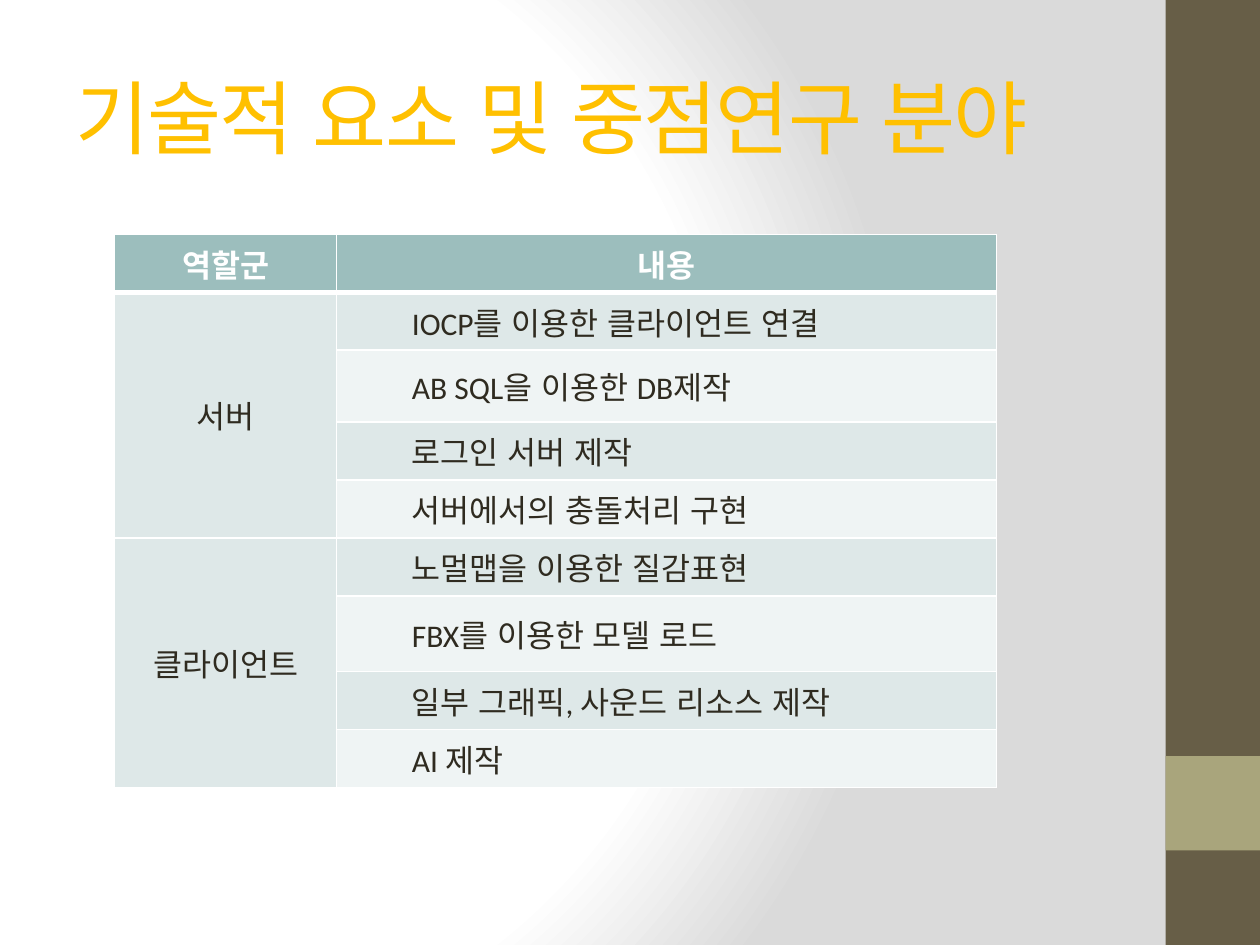
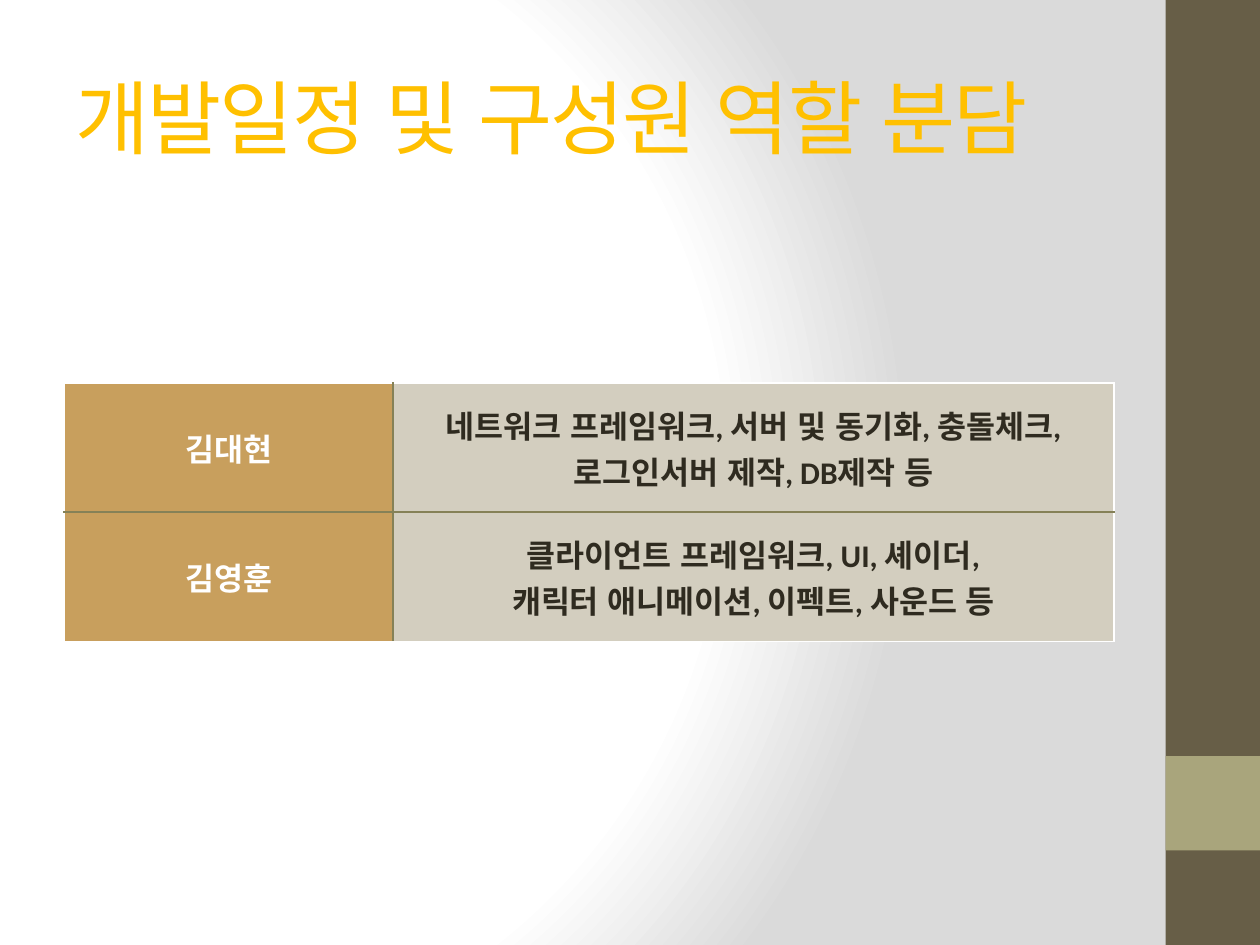
from dataclasses import dataclass

from pptx import Presentation
from pptx.dml.color import RGBColor
from pptx.enum.lang import MSO_LANGUAGE_ID
from pptx.enum.shapes import MSO_SHAPE
from pptx.enum.text import MSO_ANCHOR, PP_ALIGN
from pptx.oxml import parse_xml
from pptx.oxml.ns import nsdecls, qn
from pptx.util import Inches, Pt

TECH_TITLE = "기술적 요소 및 중점연구 분야"
TECH_HEADER = ("역할군", "내용")
TECH_AREAS = {
    "서버": ["IOCP를 이용한 클라이언트 연결", "AB SQL을 이용한 DB제작",
           "로그인 서버 제작", "서버에서의 충돌처리 구현"],
    "클라이언트": ["노멀맵을 이용한 질감표현", "FBX를 이용한 모델 로드",
              "일부 그래픽, 사운드 리소스 제작", "AI 제작"],
}
TEAM_TITLE = "개발일정 및 구성원 역할 분담"
TEAM_ROLES = [
    ("김대현", "네트워크 프레임워크, 서버 및 동기화, 충돌체크, 로그인서버 제작, DB제작 등"),
    ("김영훈", "클라이언트 프레임워크, UI, 셰이더,\n캐릭터 애니메이션, 이펙트, 사운드 등"),
]


@dataclass(frozen=True)
class Theme:
    white: str = "FFFFFF"
    backdrop: str = "DADADA"
    band: str = "675E47"
    accent: str = "A9A57C"
    title: str = "FFC000"
    ink: str = "2F2B20"
    header: str = "9CBEBD"
    odd_row: str = "DEE8E8"
    even_row: str = "EFF4F4"
    member: str = "C89F5D"
    duty: str = "D3CEBF"
    rule: str = "858157"
    title_font: str = "Cambria"
    body_font: str = "Calibri"
    title_size: int = 46
    body_size: int = 18


THEME = Theme()
THIN = (THEME.white, 1)
HEAVY = (THEME.white, 3)
DIVIDER = (THEME.rule, 1.5)


def style(paragraph, font_name, size, color, bold=False):
    font = paragraph.font
    font.name, font.size, font.bold = font_name, Pt(size), bold
    font.color.rgb = RGBColor.from_string(color)
    for run in paragraph.runs:
        run.font.language_id = MSO_LANGUAGE_ID.KOREAN


def paint_backdrop(slide):
    slide.background.fill.solid()
    properties = slide.element.find(".//" + qn("p:bgPr"))
    stops = "".join(
        f'<a:gs pos="{position * 1000}"><a:srgbClr val="{color}"/></a:gs>'
        for position, color in ((0, THEME.white), (75, THEME.white), (100, THEME.backdrop)))
    properties.replace(properties[0], parse_xml(
        f'<a:gradFill {nsdecls("a")} rotWithShape="1"><a:gsLst>{stops}</a:gsLst>'
        '<a:path path="circle"><a:fillToRect l="20000" t="50000" r="100000" b="50000"/>'
        '</a:path></a:gradFill>'))


def add_band(slide, top, height, color):
    band = slide.shapes.add_shape(
        MSO_SHAPE.RECTANGLE, Inches(9.25), Inches(top), Inches(0.75), Inches(height))
    band.shadow.inherit = False
    band.fill.solid()
    band.fill.fore_color.rgb = RGBColor.from_string(color)
    band.line.fill.background()


def add_titled_slide(deck, title):
    slide = deck.slides.add_slide(deck.slide_layouts[6])
    paint_backdrop(slide)
    add_band(slide, 0, 7.5, THEME.band)
    add_band(slide, 6, 0.75, THEME.accent)
    frame = slide.shapes.add_textbox(
        Inches(0.5), Inches(0.3), Inches(8.33), Inches(1.25)).text_frame
    frame.word_wrap = True
    frame.vertical_anchor = MSO_ANCHOR.MIDDLE
    heading = frame.paragraphs[0]
    heading.text = title
    style(heading, THEME.title_font, THEME.title_size, THEME.title)
    heading.runs[0].font._element.set("spc", "-100")
    return slide


def add_grid(slide, left, top, widths, heights):
    grid = slide.shapes.add_table(
        len(heights), len(widths), Inches(left), Inches(top),
        Inches(sum(widths)), Inches(sum(heights))).table
    for column, width in zip(grid.columns, widths):
        column.width = Inches(width)
    for row, height in zip(grid.rows, heights):
        row.height = Inches(height)
    return grid


def fill_cell(cell, text, fill, color, edges, bold=False, indented=False,
              anchor=MSO_ANCHOR.MIDDLE):
    properties = cell._tc.get_or_add_tcPr()
    for side, (edge_color, weight) in zip("LRTB", edges):
        properties.append(parse_xml(
            f'<a:ln{side} {nsdecls("a")} w="{int(Pt(weight))}"><a:solidFill>'
            f'<a:srgbClr val="{edge_color}"/></a:solidFill></a:ln{side}>'))
    cell.fill.solid()
    cell.fill.fore_color.rgb = RGBColor.from_string(fill)
    cell.vertical_anchor = anchor
    cell.text_frame.text = text
    for paragraph in cell.text_frame.paragraphs:
        style(paragraph, THEME.body_font, THEME.body_size, color, bold)
        if indented:
            paragraph.level = 1
        else:
            paragraph.alignment = PP_ALIGN.CENTER


def build_tech_slide(deck):
    slide = add_titled_slide(deck, TECH_TITLE)
    tall_rows = {2: 0.57, 6: 0.6}
    row_count = 1 + sum(len(topics) for topics in TECH_AREAS.values())
    heights = [tall_rows.get(row, 0.46) for row in range(row_count)]
    grid = add_grid(slide, 0.91, 1.86, (1.76, 5.24), heights)
    for column, label in enumerate(TECH_HEADER):
        fill_cell(grid.cell(0, column), label, THEME.header, THEME.white,
                  (THIN, THIN, THIN, HEAVY), bold=True, anchor=MSO_ANCHOR.TOP)
    row = 1
    for area, topics in TECH_AREAS.items():
        first = row
        for topic in topics:
            edges = (THIN, THIN, HEAVY if row == 1 else THIN, THIN)
            stripe = THEME.odd_row if row % 2 else THEME.even_row
            fill_cell(grid.cell(row, 0), area if row == first else "",
                      THEME.odd_row, THEME.ink, edges)
            fill_cell(grid.cell(row, 1), topic, stripe, THEME.ink, edges, indented=True)
            row += 1
        grid.cell(first, 0).merge(grid.cell(row - 1, 0))


def build_team_slide(deck):
    slide = add_titled_slide(deck, TEAM_TITLE)
    row_height = 2.05 / len(TEAM_ROLES)
    grid = add_grid(slide, 0.51, 3.04, (2.61, 5.72), [row_height] * len(TEAM_ROLES))
    last = len(TEAM_ROLES) - 1
    for row, (member, duty) in enumerate(TEAM_ROLES):
        above = DIVIDER if row else THIN
        below = DIVIDER if row < last else THIN
        fill_cell(grid.cell(row, 0), member, THEME.member, THEME.white,
                  (THIN, DIVIDER, above, below), bold=True)
        fill_cell(grid.cell(row, 1), duty, THEME.duty, THEME.ink,
                  (DIVIDER, THIN, above, below), bold=True)


deck = Presentation()
deck.slide_width, deck.slide_height = Inches(10), Inches(7.5)
build_tech_slide(deck)
build_team_slide(deck)
deck.save("out.pptx")
